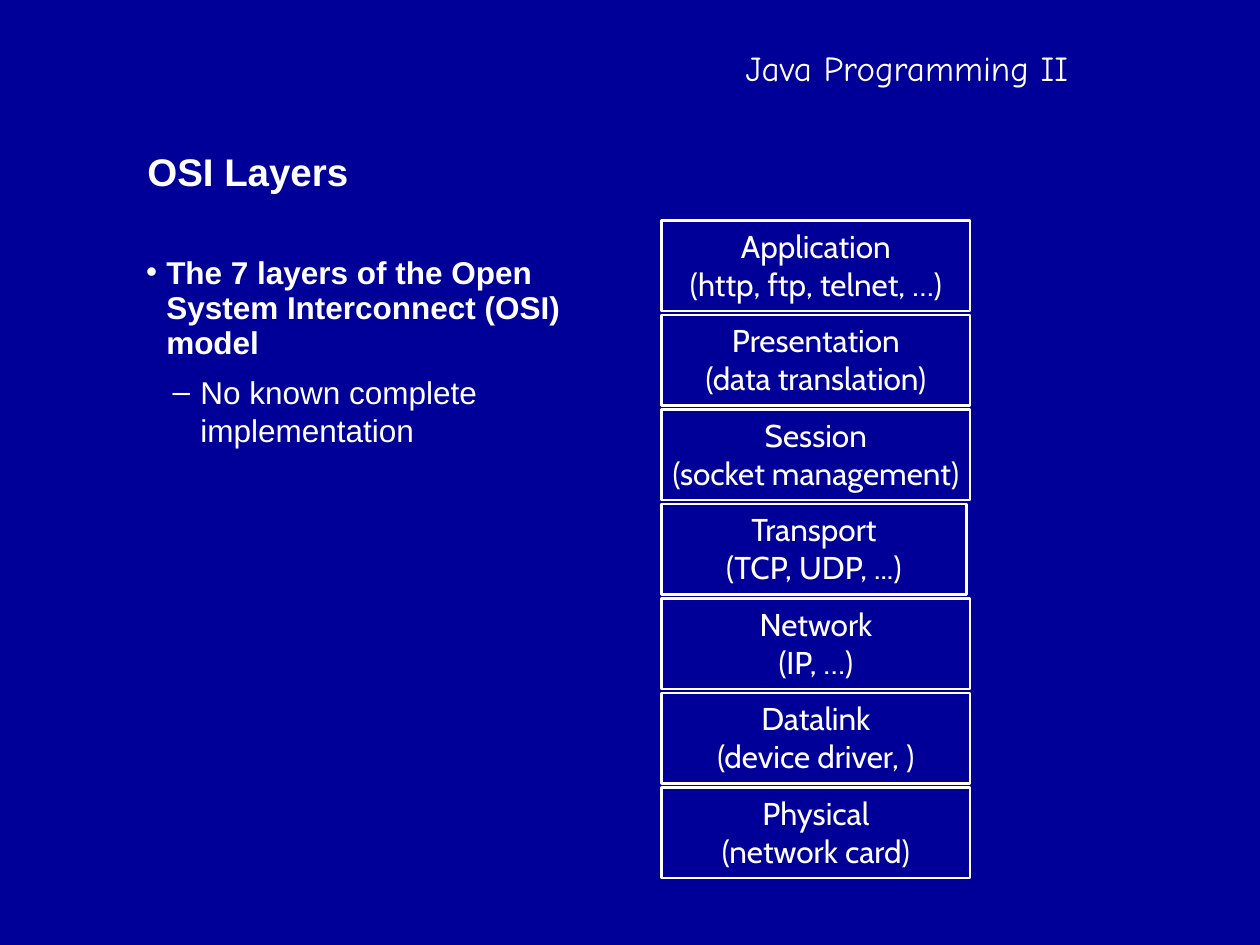
from dataclasses import dataclass

from lxml.etree import SubElement
from pptx import Presentation
from pptx.dml.color import RGBColor
from pptx.enum.shapes import MSO_SHAPE
from pptx.enum.text import MSO_ANCHOR, MSO_AUTO_SIZE, PP_ALIGN
from pptx.oxml.ns import qn
from pptx.util import Inches, Pt


@dataclass(frozen=True)
class Theme:
    back = RGBColor(0x00, 0x00, 0x99)
    ink = RGBColor(0xFF, 0xFF, 0xFF)
    main_font, layer_font, course_font = "Arial", "Cabin", "Comic Neue"
    title_size, course_size, text_size = Pt(22), Pt(20), Pt(18)
    line = Pt(1.5)


def add_run(p, text, font, size, bold=False):
    r = p.add_run()
    r.text = text
    r.font.name, r.font.size, r.font.bold = font, size, bold
    r.font.color.rgb = Theme.ink


def set_bullet(p, char, left, hanging):
    pPr = p._p.get_or_add_pPr()
    pPr.set("marL", str(Inches(left)))
    pPr.set("indent", str(-Inches(hanging)))
    color = SubElement(SubElement(pPr, qn("a:buClr")), qn("a:srgbClr"))
    color.set("val", str(Theme.ink))
    SubElement(pPr, qn("a:buChar")).set("char", char)


prs = Presentation()
prs.slide_width, prs.slide_height = Inches(10), Inches(7.5)
s = prs.slides.add_slide(prs.slide_layouts[1])
s.background.fill.solid()
s.background.fill.fore_color.rgb = Theme.back

# Course name
sp = s.shapes.add_textbox(Inches(5.82), Inches(0.32), Inches(2.77), Inches(0.44))
tf = sp.text_frame
tf.word_wrap = False
add_run(tf.paragraphs[0], "Java Programming II", Theme.course_font, Theme.course_size)

# Title
title = s.shapes.title
title.left, title.top = Inches(1.07), Inches(1.12)
title.width, title.height = Inches(7.59), Inches(0.47)
tf = title.text_frame
tf.auto_size = MSO_AUTO_SIZE.NONE
tf.vertical_anchor = MSO_ANCHOR.BOTTOM
p = tf.paragraphs[0]
p.alignment = PP_ALIGN.LEFT
add_run(p, "OSI Layers", Theme.main_font, Theme.title_size, True)

# Bullet list
body = s.placeholders[1]
body.left, body.top = Inches(1.06), Inches(1.98)
body.width, body.height = Inches(3.94), Inches(4.5)
tf = body.text_frame
tf.auto_size = MSO_AUTO_SIZE.NONE

p = tf.paragraphs[0]
p.line_spacing, p.space_before, p.space_after = Pt(20), Pt(13.5), Pt(6.8)
set_bullet(p, "•", 0.16, 0.16)
add_run(p, "The 7 layers of the Open System Interconnect (OSI) model",
        Theme.main_font, Theme.text_size, True)

p = tf.add_paragraph()
p.level = 1
p.space_before = Pt(0)
set_bullet(p, "–", 0.43, 0.22)
add_run(p, "No known complete implementation", Theme.main_font, Theme.text_size)

# Layer stack: one row per layer, top to bottom
STACK_LEFT, STACK_TOP, ROW_PITCH = 5.25, 1.75, 0.75
BOX_WIDTH, BOX_HEIGHT, TRANSPORT_WIDTH = 2.45, 0.72, 2.42
layers = [
    ("Application", "(http, ftp, telnet, …)"),
    ("Presentation", "(data translation)"),
    ("Session", "(socket management)"),
    ("Transport", "(TCP, UDP, ...)"),
    ("Network", "(IP, …)"),
    ("Datalink", "(device driver, )"),
    ("Physical", "(network card)"),
]
for row, (name, detail) in enumerate(layers):
    width = TRANSPORT_WIDTH if name == "Transport" else BOX_WIDTH
    sp = s.shapes.add_shape(
        MSO_SHAPE.RECTANGLE, Inches(STACK_LEFT), Inches(STACK_TOP + row * ROW_PITCH),
        Inches(width), Inches(BOX_HEIGHT))
    sp.shadow.inherit = False
    sp.fill.background()
    sp.line.color.rgb, sp.line.width = Theme.ink, Theme.line
    tf = sp.text_frame
    tf.word_wrap = name == "Transport"
    tf.vertical_anchor = MSO_ANCHOR.TOP
    for p, text in ((tf.paragraphs[0], name), (tf.add_paragraph(), detail)):
        p.alignment = PP_ALIGN.CENTER
        add_run(p, text, Theme.layer_font, Theme.text_size)

prs.save("out.pptx")
